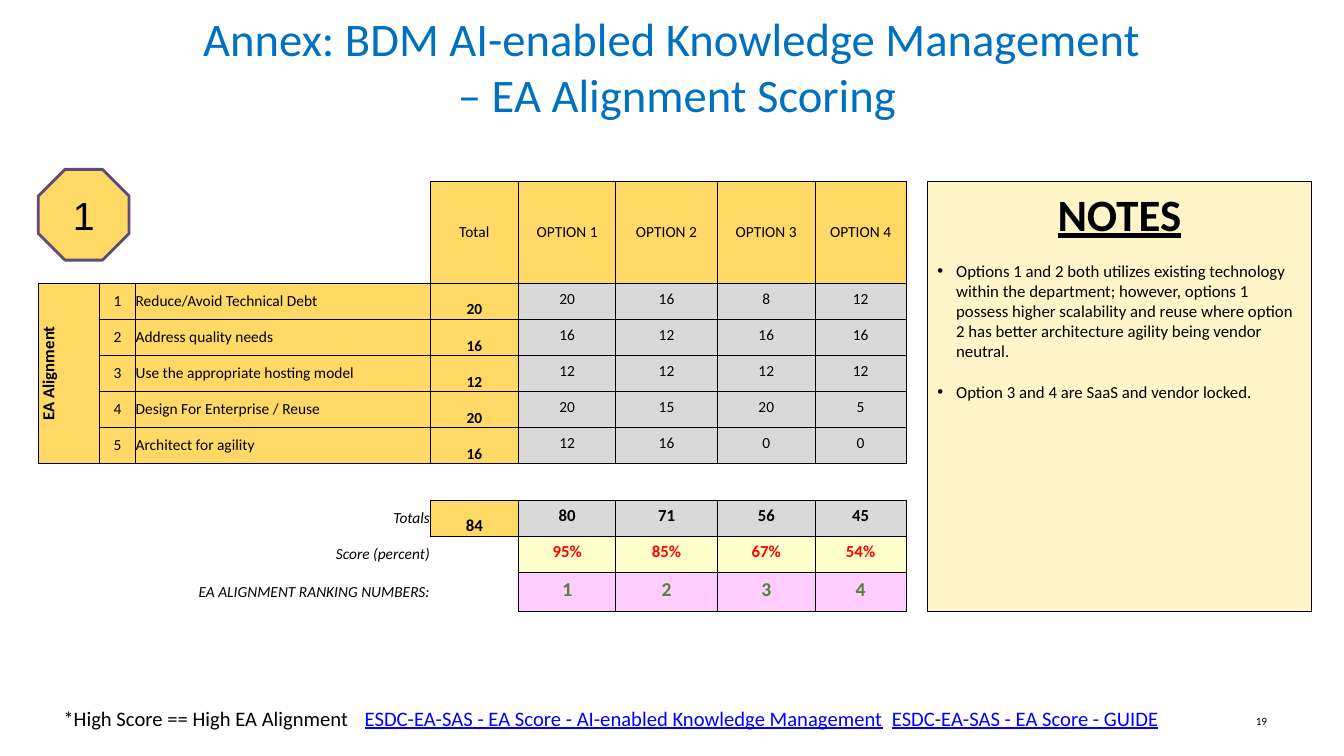
from dataclasses import dataclass, field

from lxml import etree
from pptx import Presentation
from pptx.dml.color import RGBColor
from pptx.enum.shapes import MSO_SHAPE
from pptx.enum.text import MSO_ANCHOR, MSO_AUTO_SIZE, PP_ALIGN
from pptx.oxml.ns import qn
from pptx.util import Pt

LEFT, CENTER, RIGHT = PP_ALIGN.LEFT, PP_ALIGN.CENTER, PP_ALIGN.RIGHT
TOP, MIDDLE, BOTTOM = MSO_ANCHOR.TOP, MSO_ANCHOR.MIDDLE, MSO_ANCHOR.BOTTOM
RECTANGLE, OCTAGON = MSO_SHAPE.RECTANGLE, MSO_SHAPE.OCTAGON
NO_AUTOFIT = MSO_AUTO_SIZE.NONE
TITLE_ONLY = 5
NO_TABLE_STYLE = "{2D5ABB26-0587-4C30-8999-92F81FD0307C}"

COLORS = {
    "black": "000000", "title": "0070C0", "link": "0000FF", "red": "FF0000",
    "green": "548235", "gold": "FFD966", "gray": "D9D9D9", "note": "FFF5C9",
    "yellow": "FFFFCC", "pink": "FFCCFF", "purple": "5F4A78",
}


@dataclass
class TextStyle:
    size: float = 11
    color: str = "black"
    align: int = CENTER
    anchor: int = MIDDLE
    name: str = "Calibri"
    extra: dict = field(default_factory=dict)


@dataclass
class CellStyle:
    text: TextStyle
    fill: str | None = None
    margins: tuple = (0, 0, 0, 0)


@dataclass
class Label:
    text: str
    left: float
    top: float
    width: float
    height: float
    style: TextStyle


BOLD = {"bold": True}
ITALIC = {"italic": True}
SCORE_MARGINS = (0.7, 0.7, 0.7, 3.6)

BLANK = CellStyle(TextStyle())
GOLD = CellStyle(TextStyle(), "gold")
CRITERION = CellStyle(TextStyle(align=LEFT), "gold")
GROUP = CellStyle(TextStyle(12, extra=BOLD), "gold")
MAXIMUM = CellStyle(TextStyle(anchor=BOTTOM, extra=BOLD), "gold")
MAXIMUM_TOTAL = CellStyle(TextStyle(12, anchor=BOTTOM, extra=BOLD), "gold")
SCORE = CellStyle(TextStyle(), "gray", SCORE_MARGINS)
SUM = CellStyle(TextStyle(12, extra=BOLD), "gray", SCORE_MARGINS)
PERCENT = CellStyle(TextStyle(12, "red", extra=BOLD), "yellow", SCORE_MARGINS)
RANK = CellStyle(TextStyle(14, "green", extra=BOLD), "pink", SCORE_MARGINS)
SUMMARY = CellStyle(TextStyle(align=RIGHT, extra=ITALIC))

COLUMN_WIDTHS = [43.5, 26, 210.2, 63.5, 69.2, 72.7, 69.8, 65]
ROW_HEIGHTS = [72.5] + [25.85] * 8 + [28]
OPTIONS = ["OPTION 1", "OPTION 2", "OPTION 3", "OPTION 4"]
CRITERIA = [
    ("Reduce/Avoid Technical Debt", 20, [20, 16, 8, 12]),
    ("Address quality needs", 16, [16, 12, 16, 16]),
    ("Use the appropriate hosting model", 12, [12, 12, 12, 12]),
    ("Design For Enterprise / Reuse", 20, [20, 15, 20, 5]),
    ("Architect for agility", 16, [12, 16, 0, 0]),
]
SUMMARIES = [
    ("Totals", 84, MAXIMUM_TOTAL, [80, 71, 56, 45], SUM),
    ("Score (percent)", "", BLANK, ["95%", "85%", "67%", "54%"], PERCENT),
    ("EA ALIGNMENT RANKING NUMBERS:", "", BLANK, [1, 2, 3, 4], RANK),
]
NOTES = [
    "Options 1 and 2 both utilizes existing technology within the department; "
    "however, options 1 possess higher scalability and reuse where option 2 has "
    "better architecture agility being vendor neutral.",
    "Option 3 and 4 are SaaS and vendor locked.",
]

FOOTER = TextStyle(14.7, align=LEFT, anchor=TOP)
LINK = TextStyle(14.7, "link", LEFT, TOP, extra={"underline": True})
LABELS = [
    Label("*High Score == High EA Alignment", 38.2, 500.4, 334, 25.2, FOOTER),
    Label("ESDC-EA-SAS - EA Score - AI-enabled Knowledge Management",
          253.4, 500.4, 387.4, 25.2, LINK),
    Label("ESDC-EA-SAS - EA Score - GUIDE", 630, 500.4, 261.4, 25.2, LINK),
    Label("19", 688.3, 500.4, 224, 28.8, TextStyle(8, align=RIGHT)),
]


def rgb(color: str) -> RGBColor:
    return RGBColor.from_string(COLORS[color])


def format_paragraph(paragraph, style: TextStyle) -> None:
    paragraph.alignment = style.align
    values = {"size": Pt(style.size), "name": style.name, **style.extra}
    for font in [paragraph.font] + [run.font for run in paragraph.runs]:
        for attribute, value in values.items():
            setattr(font, attribute, value)
        font.color.rgb = rgb(style.color)


def write_text(frame, text: str, style: TextStyle) -> None:
    frame.word_wrap = True
    frame.auto_size = NO_AUTOFIT
    frame.vertical_anchor = style.anchor
    frame.text = text
    format_paragraph(frame.paragraphs[0], style)


def add_panel(slide, kind: int, box: tuple, fill: str, line: str, width: float):
    shape = slide.shapes.add_shape(kind, *map(Pt, box))
    shape.shadow.inherit = False
    shape.fill.solid()
    shape.fill.fore_color.rgb = rgb(fill)
    shape.line.color.rgb = rgb(line)
    shape.line.width = Pt(width)
    return shape


def add_borders(cell) -> None:
    properties = cell._tc.get_or_add_tcPr()
    for position, side in enumerate(("lnL", "lnR", "lnT", "lnB")):
        border = etree.Element(qn(f"a:{side}"), w=str(Pt(0.5)))
        fill = etree.SubElement(border, qn("a:solidFill"))
        etree.SubElement(fill, qn("a:srgbClr"), val=COLORS["black"])
        properties.insert(position, border)


def fill_cell(cell, text, style: CellStyle) -> None:
    sides = ("margin_left", "margin_top", "margin_right", "margin_bottom")
    for side, margin in zip(sides, style.margins):
        setattr(cell, side, Pt(margin))
    cell.vertical_anchor = style.text.anchor
    cell.text = str(text)
    format_paragraph(cell.text_frame.paragraphs[0], style.text)
    if style.fill:
        cell.fill.solid()
        cell.fill.fore_color.rgb = rgb(style.fill)
        add_borders(cell)


def table_rows() -> list:
    blank = ("", BLANK)
    rows = [[blank] * 3 + [(text, GOLD) for text in ["Total"] + OPTIONS]]
    for number, (name, maximum, scores) in enumerate(CRITERIA, 1):
        group = "EA Alignment" if number == 1 else ""
        rows.append([(group, GROUP), (number, GOLD), (name, CRITERION), (maximum, MAXIMUM)]
                    + [(score, SCORE) for score in scores])
    rows.append([blank] * len(COLUMN_WIDTHS))
    for name, total, total_style, values, style in SUMMARIES:
        rows.append([blank, blank, (name, SUMMARY), (total, total_style)]
                    + [(value, style) for value in values])
    return rows


def add_score_table(slide) -> None:
    frame = slide.shapes.add_table(
        len(ROW_HEIGHTS), len(COLUMN_WIDTHS), Pt(27.4), Pt(129.6),
        Pt(sum(COLUMN_WIDTHS)), Pt(sum(ROW_HEIGHTS)))
    table = frame.table
    table.first_row = table.horz_banding = False
    table._tbl.tblPr.find(qn("a:tableStyleId")).text = NO_TABLE_STYLE
    for column, width in zip(table.columns, COLUMN_WIDTHS):
        column.width = Pt(width)
    for row, height, contents in zip(table.rows, ROW_HEIGHTS, table_rows()):
        row.height = Pt(height)
        for cell, (text, style) in zip(row.cells, contents):
            fill_cell(cell, text, style)
    group_cell = table.cell(1, 0)
    group_cell.merge(table.cell(len(CRITERIA), 0))
    group_cell._tc.get_or_add_tcPr().set("vert", "vert270")


def add_notes_panel(slide) -> None:
    panel = add_panel(slide, RECTANGLE, (662.4, 129.6, 274.3, 307.4), "note", "black", 0.75)
    heading = TextStyle(32, anchor=TOP, extra={"bold": True, "underline": True})
    write_text(panel.text_frame, "NOTES", heading)
    for note in NOTES:
        paragraph = panel.text_frame.add_paragraph()
        paragraph.text = note
        paragraph.space_before = Pt(14.6)
        properties = paragraph._p.get_or_add_pPr()
        properties.set("marL", str(Pt(13.5)))
        properties.set("indent", str(Pt(-13.5)))
        etree.SubElement(properties, qn("a:buFont"), typeface="Arial")
        etree.SubElement(properties, qn("a:buChar"), char="•")
        format_paragraph(paragraph, TextStyle(12, align=LEFT))


def main() -> None:
    presentation = Presentation()
    presentation.slide_width, presentation.slide_height = Pt(960), Pt(540)
    slide = presentation.slides.add_slide(presentation.slide_layouts[TITLE_ONLY])

    # Title
    title = slide.shapes.title
    title.left, title.top, title.width, title.height = map(Pt, (48, 10.8, 864, 72.7))
    write_text(title.text_frame,
               "Annex: BDM AI-enabled Knowledge Management\v – EA Alignment Scoring",
               TextStyle(33.3, "title"))

    # Notes, scores and section number
    add_notes_panel(slide)
    add_score_table(slide)
    badge = add_panel(slide, OCTAGON, (27.4, 121, 64.8, 64.8), "gold", "purple", 2)
    write_text(badge.text_frame, "1", TextStyle(28, name="Arial"))

    # Footer
    for label in LABELS:
        box = slide.shapes.add_textbox(
            *map(Pt, (label.left, label.top, label.width, label.height)))
        write_text(box.text_frame, label.text, label.style)

    presentation.save("out.pptx")


if __name__ == "__main__":
    main()
